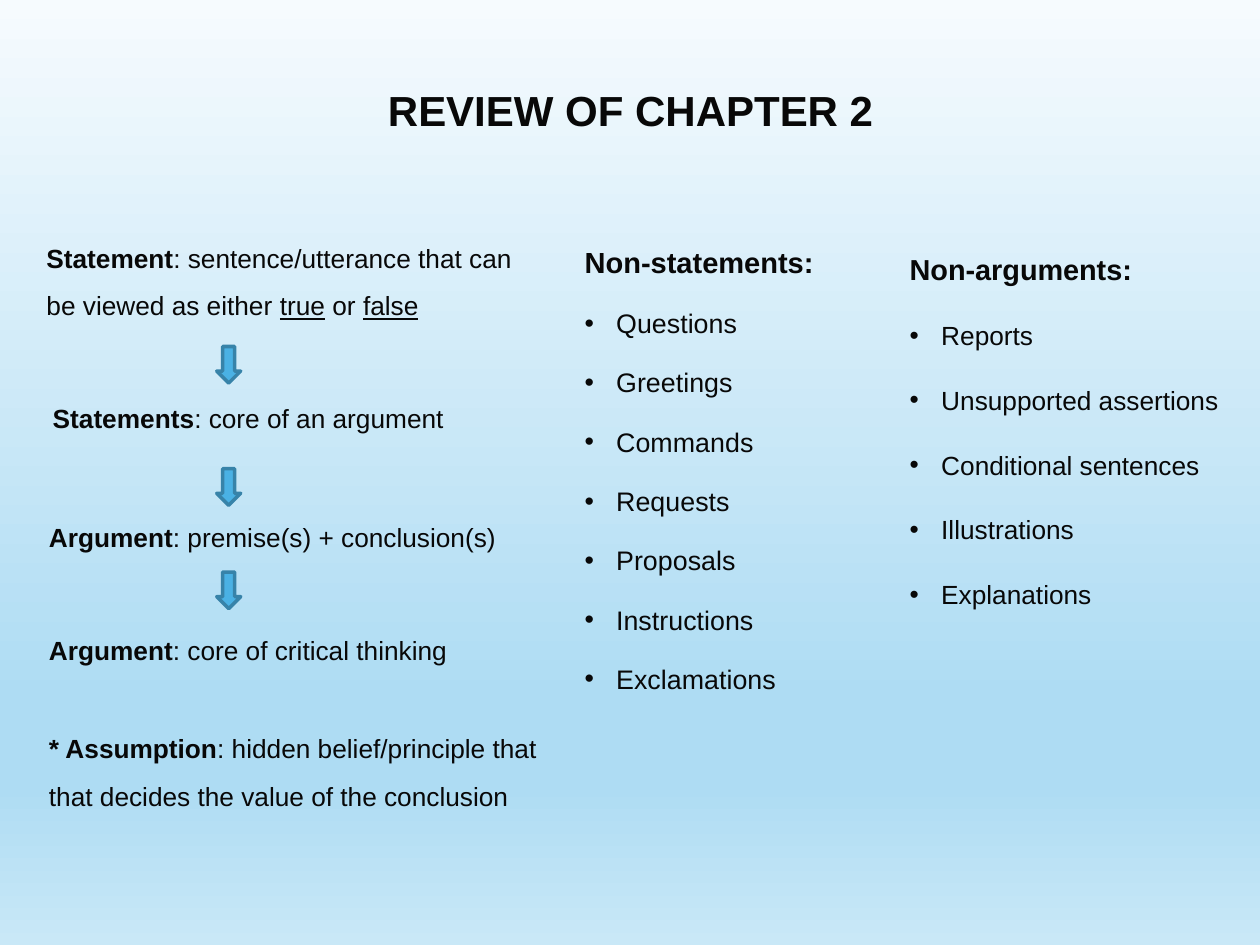
from dataclasses import dataclass

from lxml import etree
from pptx import Presentation
from pptx.dml.color import RGBColor
from pptx.enum import shapes, text
from pptx.oxml import ns
from pptx.util import Inches, Pt

INK = RGBColor(0x08, 0x08, 0x08)
ARROW_FILL = RGBColor(0x4A, 0xB1, 0xE4)
ARROW_LINE = RGBColor(0x37, 0x83, 0xA9)
SKY_STOPS = [
    (0, RGBColor(0xF6, 0xFB, 0xFE)),
    (74, RGBColor(0xAE, 0xDC, 0xF3)),
    (83, RGBColor(0xAE, 0xDC, 0xF3)),
    (100, RGBColor(0xC9, 0xE8, 0xF7)),
]
FONT = "Arial"
BODY_SIZE = 15
ARROW_LEFT = 1.72
ARROW_TOPS = (2.75, 3.72, 4.54)
BULLET_INDENT = Inches(0.25)


@dataclass
class Definition:
    left: float
    top: float
    width: float
    height: float
    term: str
    meaning: list[str]  # every second piece is underlined
    spacing: float = 0.9


@dataclass
class BulletList:
    left: float
    width: float
    height: float
    heading: str
    items: list[str]
    heading_size: float
    item_size: float
    spacing: float


DEFINITIONS = [
    Definition(0.27, 1.75, 3.92, 0.81, "Statement",
               [": sentence/utterance that can be viewed as either ",
                "true", " or ", "false"], 1.5),
    Definition(0.32, 3.17, 3.92, 0.33, "Statements", [": core of an argument"]),
    Definition(0.29, 4.12, 4.59, 0.33, "Argument", [": premise(s) + conclusion(s)"]),
    Definition(0.29, 5.01, 4.59, 0.33, "Argument", [": core of critical thinking"]),
    Definition(0.29, 5.64, 4.25, 0.81, "* Assumption",
               [": hidden belief/principle that that decides the value of the conclusion"],
               1.5),
]

LISTS = [
    BulletList(4.57, 2.88, 3.71, "Non-statements:",
               ["Questions", "Greetings", "Commands", "Requests", "Proposals",
                "Instructions", "Exclamations"], 16.6, 15.3, 1.3),
    BulletList(7.15, 2.75, 3.57, "Non-arguments:",
               ["Reports", "Unsupported assertions", "Conditional sentences",
                "Illustrations", "Explanations"], 16.5, 15, 1.5),
]


def format_span(span, size: float, bold: bool = False, underline: bool = False) -> None:
    font = span.font
    font.name, font.size, font.bold = FONT, Pt(size), bold
    font.color.rgb = INK
    if underline:
        font.underline = True


def add_box(page, left: float, top: float, width: float, height: float):
    box = page.shapes.add_textbox(Inches(left), Inches(top), Inches(width), Inches(height))
    box.text_frame.word_wrap = True
    return box


def paint_background(page) -> None:
    fill = page.background.fill
    fill.gradient()
    fill.gradient_angle = 270  # counter-clockwise, so light at the top
    # The public interface keeps two stops, so rebuild the stop list
    stop_list = page.element.find(".//" + ns.qn("a:gsLst"))
    for stop in list(stop_list):
        stop_list.remove(stop)
    for position, color in SKY_STOPS:
        stop = etree.SubElement(stop_list, ns.qn("a:gs"), pos=str(position * 1000))
        etree.SubElement(stop, ns.qn("a:srgbClr"), val=str(color))


def add_title(page, wording: str) -> None:
    title = page.shapes.title
    title.left, title.top = Inches(2.89), Inches(0.62)
    title.width, title.height = Inches(4.23), Inches(0.5)
    frame = title.text_frame
    frame.text = wording
    frame.word_wrap = True
    frame.auto_size = text.MSO_AUTO_SIZE.NONE
    frame.vertical_anchor = text.MSO_ANCHOR.TOP
    para = frame.paragraphs[0]
    para.alignment = text.PP_ALIGN.CENTER
    format_span(para.runs[0], 24, bold=True)


def add_definition(page, entry: Definition) -> None:
    box = add_box(page, entry.left, entry.top, entry.width, entry.height)
    para = box.text_frame.paragraphs[0]
    para.line_spacing = entry.spacing
    for index, wording in enumerate([entry.term, *entry.meaning]):
        span = para.add_run()
        span.text = wording
        format_span(span, BODY_SIZE, bold=index == 0,
                    underline=index > 0 and index % 2 == 0)


def add_bullet(para) -> None:
    properties = para._p.get_or_add_pPr()
    properties.set("marL", str(BULLET_INDENT))
    properties.set("indent", str(-BULLET_INDENT))
    etree.SubElement(properties, ns.qn("a:buFont"), typeface=FONT)
    etree.SubElement(properties, ns.qn("a:buChar"), char="•")


def add_bullet_list(page, entry: BulletList) -> None:
    frame = add_box(page, entry.left, 1.82, entry.width, entry.height).text_frame
    frame.margin_left = frame.margin_right = Inches(0.07)
    frame.margin_top = frame.margin_bottom = Inches(0.04)
    frame.text = "\n".join([entry.heading, *entry.items])
    for index, para in enumerate(frame.paragraphs):
        para.line_spacing = entry.spacing
        is_heading = index == 0
        if not is_heading:
            para.space_before = Pt(10)
            add_bullet(para)
        size = entry.heading_size if is_heading else entry.item_size
        format_span(para.runs[0], size, bold=is_heading)


def add_down_arrow(page, top: float) -> None:
    arrow = page.shapes.add_shape(shapes.MSO_SHAPE.DOWN_ARROW, Inches(ARROW_LEFT),
                                  Inches(top), Inches(0.19), Inches(0.29))
    arrow.shadow.inherit = False
    arrow.fill.solid()
    arrow.fill.fore_color.rgb = ARROW_FILL
    arrow.line.color.rgb = ARROW_LINE
    arrow.line.width = Pt(2)


def main() -> None:
    deck = Presentation()
    deck.slide_width, deck.slide_height = Inches(10), Inches(7.5)
    page = deck.slides.add_slide(deck.slide_layouts.get_by_name("Title Only"))
    paint_background(page)
    add_title(page, "REVIEW OF CHAPTER 2")

    # Left column: definitions linked by arrows
    for entry in DEFINITIONS:
        add_definition(page, entry)
    for top in ARROW_TOPS:
        add_down_arrow(page, top)

    # Middle and right columns
    for entry in LISTS:
        add_bullet_list(page, entry)

    deck.save("out.pptx")


if __name__ == "__main__":
    main()
